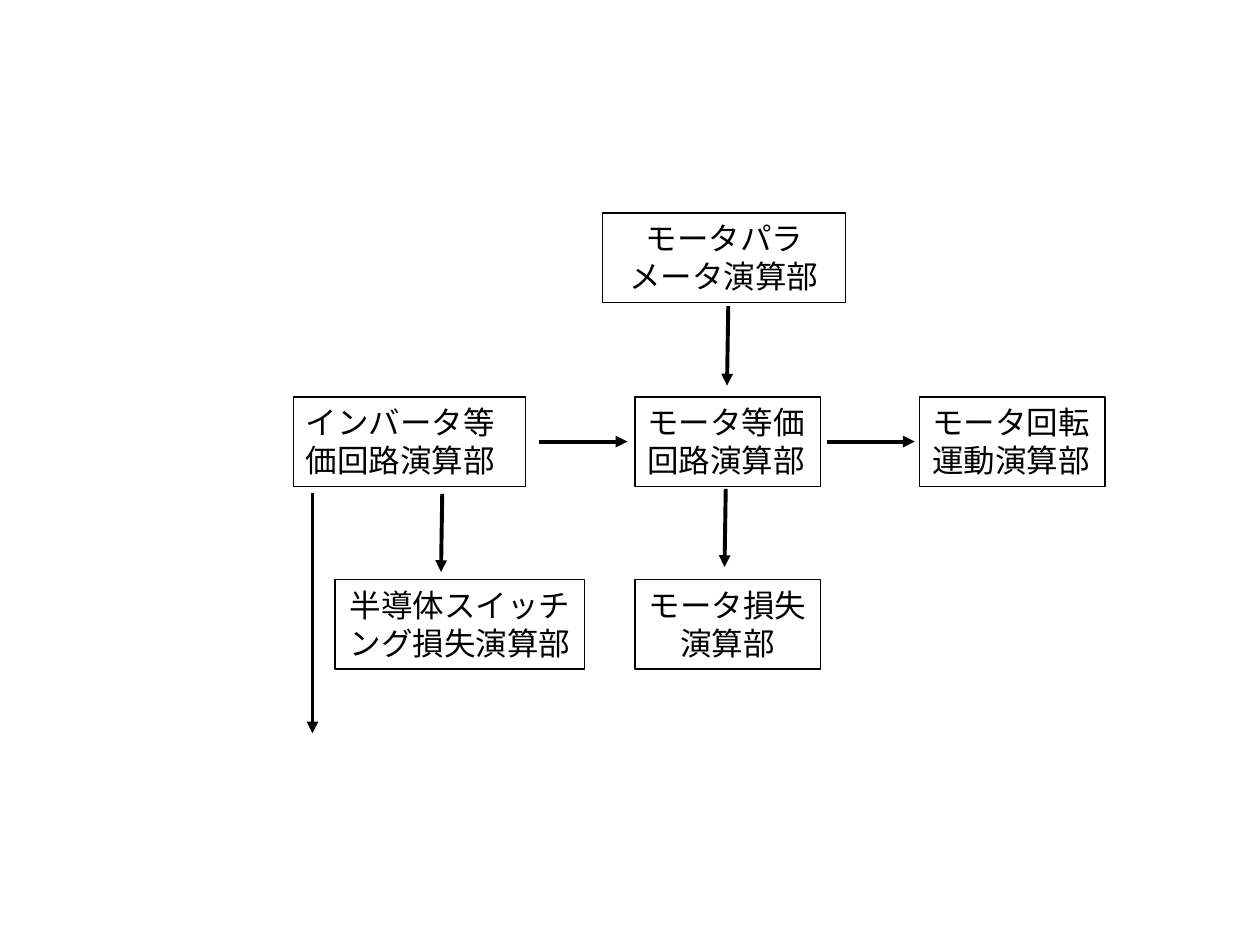
from dataclasses import dataclass

from pptx import Presentation, util as u
from pptx.dml.color import RGBColor
from pptx.enum import lang, shapes, text
from pptx.oxml.ns import qn
from lxml import etree

COLORS = {"ink": "000000"}
ROW_TOPS = (1.69, 3.15, 4.6)
BOX_HEIGHT = 0.71
FLOW_Y = ROW_TOPS[1] + BOX_HEIGHT / 2
LEFT, CENTER = text.PP_ALIGN.LEFT, text.PP_ALIGN.CENTER


@dataclass
class Unit:
    label: str
    row: int
    left: float
    width: float
    align: text.PP_ALIGN = LEFT


@dataclass
class Arrow:
    x1: float
    y1: float
    x2: float
    y2: float


UNITS = [
    Unit("モータパラメータ演算部", 0, 4.78, 1.93, CENTER),
    Unit("インバータ等価回路演算部", 1, 2.33, 1.84),
    Unit("モータ等価回路演算部", 1, 5.04, 1.47),
    Unit("モータ回転運動演算部", 1, 7.3, 1.47),
    Unit("半導体スイッチング損失演算部", 2, 2.66, 1.98, CENTER),
    Unit("モータ損失演算部", 2, 5.04, 1.47, CENTER),
]

ARROWS = [
    Arrow(5.78, 2.43, 5.77, 3.06),
    Arrow(4.28, FLOW_Y, 4.98, FLOW_Y),
    Arrow(6.56, FLOW_Y, 7.26, FLOW_Y),
    Arrow(5.76, 3.88, 5.75, 4.5),
    Arrow(3.51, 3.92, 3.5, 4.54),
    Arrow(2.48, 3.91, 2.48, 5.82),
]


def draw_unit(slide, unit: Unit) -> None:
    ink = RGBColor.from_string(COLORS["ink"])
    sp = slide.shapes.add_textbox(
        u.Inches(unit.left), u.Inches(ROW_TOPS[unit.row]),
        u.Inches(unit.width), u.Inches(BOX_HEIGHT))
    sp.line.color.rgb = ink
    sp.line.width = u.Pt(0.75)
    tf = sp.text_frame
    tf.word_wrap = True
    tf.auto_size = text.MSO_AUTO_SIZE.SHAPE_TO_FIT_TEXT
    p = tf.paragraphs[0]
    p.alignment = unit.align
    p.font.size = u.Pt(18)
    p.font.name = "Calibri"
    p.font.color.rgb = ink
    r = p.add_run()
    r.text = unit.label
    r.font.language_id = lang.MSO_LANGUAGE_ID.JAPANESE


def draw_arrow(slide, arrow: Arrow) -> None:
    ends = (u.Inches(v) for v in (arrow.x1, arrow.y1, arrow.x2, arrow.y2))
    line = slide.shapes.add_connector(shapes.MSO_CONNECTOR.STRAIGHT, *ends)
    line.line.color.rgb = RGBColor.from_string(COLORS["ink"])
    line.line.width = u.Pt(2.25)
    ln = line.line._get_or_add_ln()
    etree.SubElement(ln, qn("a:tailEnd"), type="triangle")
    etree.SubElement(line._element.spPr, qn("a:effectLst"))


def main() -> None:
    prs = Presentation()
    prs.slide_width, prs.slide_height = u.Inches(10), u.Inches(7.5)
    s = prs.slides.add_slide(prs.slide_layouts[6])
    for unit in UNITS:
        draw_unit(s, unit)
    for arrow in ARROWS:
        draw_arrow(s, arrow)
    prs.save("out.pptx")


if __name__ == "__main__":
    main()
